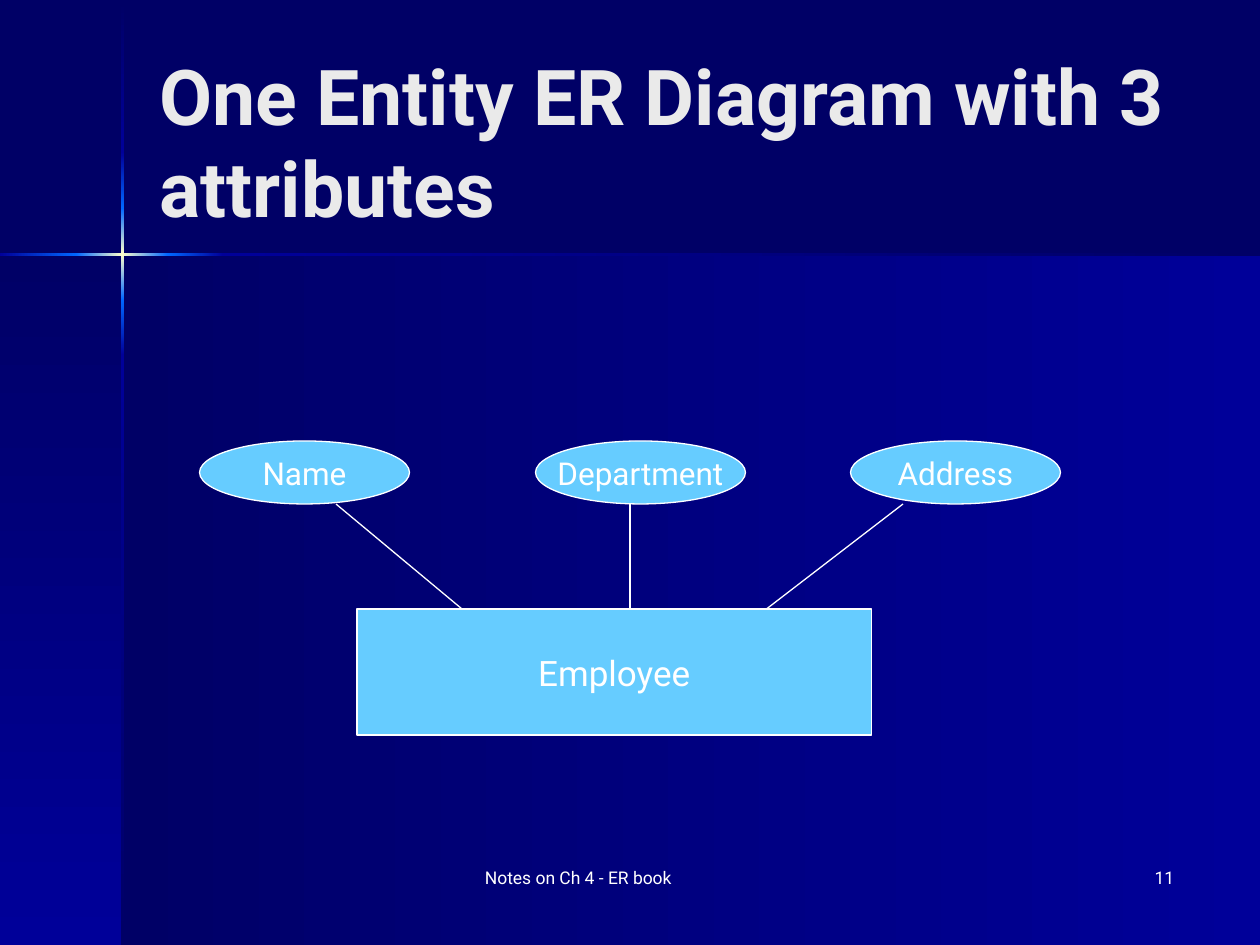
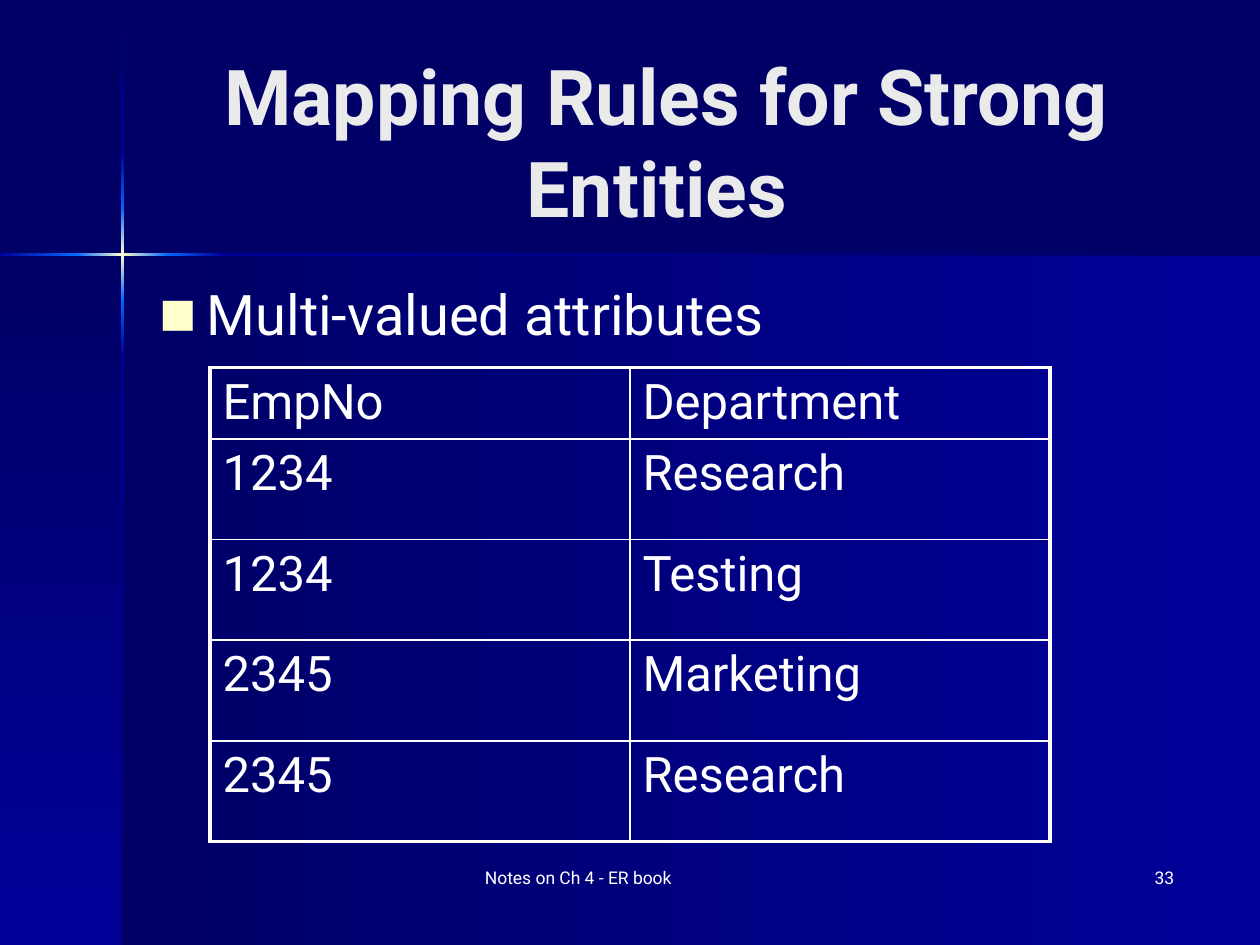
from itertools import pairwise

from lxml import etree
from pptx import Presentation
from pptx.dml.color import RGBColor
from pptx.enum.shapes import MSO_CONNECTOR, MSO_SHAPE
from pptx.enum.text import MSO_ANCHOR, MSO_AUTO_SIZE, PP_ALIGN
from pptx.oxml import parse_xml
from pptx.oxml.ns import nsdecls, qn
from pptx.util import Pt

WIDTH, HEIGHT = 720, 540
FONT = "Roboto"
FOOTER = "Notes on Ch 4 - ER book"
COLORS = {
    "navy": "000066",
    "blue": "000099",
    "bright": "0066FF",
    "cream": "FFFFCC",
    "title": "EAEAEA",
    "text": "FFFFFF",
    "node": "66CCFF",
}

# The two glowing lines cross where the side band meets the title band.
CROSS_X, CROSS_Y = 70, 145.5
GLOW = 1.5
GLOW_RAMPS = [
    ("navy", "blue"),
    ("blue", "bright"),
    ("bright", "cream", "bright"),
    ("bright", "blue"),
    ("blue", "navy"),
]
GLOW_ROWS = [0.75, 87, 119, 171.5, 203, HEIGHT]
GLOW_COLUMNS = [0, 43.5, 96, 127.5, WIDTH]

OUTER_BORDER, INNER_BORDER = 2.25, 1


def rgb(color):
    return RGBColor.from_string(COLORS[color])


class Deck:
    """Holds the presentation, its shared style and the slide being built."""

    def __init__(self):
        self.presentation = Presentation()
        self.presentation.slide_width = Pt(WIDTH)
        self.presentation.slide_height = Pt(HEIGHT)
        background = self.presentation.slide_master.background.fill
        background.solid()
        background.fore_color.rgb = rgb("navy")
        self.slide = None

    def add_slide(self, title, number, align=PP_ALIGN.LEFT):
        layout = self.presentation.slide_layouts.get_by_name("Title Only")
        self.slide = self.presentation.slides.add_slide(layout)
        self.backdrop()
        self.title(title, align)
        self.text(FOOTER, (270, 492, 228, 36), 10)
        self.text(str(number), (528, 492, 150, 36), 10, PP_ALIGN.RIGHT)

    def style(self, paragraph, size, align=PP_ALIGN.LEFT, color="text", bold=False):
        paragraph.alignment = align
        font = paragraph.font
        font.name, font.size, font.bold = FONT, Pt(size), bold
        font.color.rgb = rgb(color)

    def title(self, text, align):
        shape = self.slide.shapes.title
        shape.left, shape.top, shape.width, shape.height = map(Pt, (84, 24, 594, 113))
        frame = shape.text_frame
        frame.text = text
        frame.auto_size = MSO_AUTO_SIZE.NONE
        frame.vertical_anchor = MSO_ANCHOR.MIDDLE
        self.style(frame.paragraphs[0], 44, align, "title", bold=True)

    def gradient_band(self, box, ramp, angle):
        """Add a rectangle whose colours run rightwards (0) or downwards (90)."""
        shape = self.slide.shapes.add_shape(MSO_SHAPE.RECTANGLE, *map(Pt, box))
        shape.shadow.inherit = False
        shape.line.fill.background()
        shape.fill.gradient()
        gradient = shape.fill._xPr.find(qn("a:gradFill"))
        step = 100000 // (len(ramp) - 1)
        stops = "".join(
            f'<a:gs pos="{index * step}"><a:srgbClr val="{COLORS[color]}"/></a:gs>'
            for index, color in enumerate(ramp)
        )
        gradient.getparent().replace(gradient, parse_xml(
            f'<a:gradFill {nsdecls("a")} rotWithShape="1"><a:gsLst>{stops}</a:gsLst>'
            f'<a:lin ang="{angle * 60000}" scaled="0"/></a:gradFill>'
        ))

    def backdrop(self):
        body_height = HEIGHT - CROSS_Y
        ramp = ("navy", "blue")
        self.gradient_band((CROSS_X, CROSS_Y, WIDTH - CROSS_X, body_height), ramp, 0)
        self.gradient_band((0, CROSS_Y, CROSS_X, body_height), ramp, 90)
        for (top, bottom), ramp in zip(pairwise(GLOW_ROWS), GLOW_RAMPS):
            box = (CROSS_X - GLOW / 2, top, GLOW, bottom - top)
            self.gradient_band(box, ramp, 90)
        for (left, right), ramp in zip(pairwise(GLOW_COLUMNS), GLOW_RAMPS[1:]):
            box = (left, CROSS_Y - GLOW / 2, right - left, GLOW)
            self.gradient_band(box, ramp, 0)

    def text(self, text, box, size, align=PP_ALIGN.LEFT):
        frame = self.slide.shapes.add_textbox(*map(Pt, box)).text_frame
        frame.word_wrap = True
        frame.text = text
        paragraph = frame.paragraphs[0]
        self.style(paragraph, size, align)
        return paragraph

    def bullet(self, text, box, size):
        paragraph = self.text(text, box, size)
        paragraph.space_before = Pt(2)
        properties = paragraph._p.get_or_add_pPr()
        indent = Pt(27)
        properties.set("marL", str(indent))
        properties.set("indent", str(-indent))
        marks = [
            f'<a:buClr {nsdecls("a")}><a:srgbClr val="{COLORS["cream"]}"/></a:buClr>',
            f'<a:buSzPct {nsdecls("a")} val="70000"/>',
            f'<a:buFont {nsdecls("a")} typeface="{FONT}"/>',
            f'<a:buChar {nsdecls("a")} char="■"/>',
        ]
        text_defaults = properties.find(qn("a:defRPr"))
        for mark in marks:
            text_defaults.addprevious(parse_xml(mark))

    def node(self, kind, text, box, size):
        shape = self.slide.shapes.add_shape(kind, *map(Pt, box))
        shape.shadow.inherit = False
        shape.fill.solid()
        shape.fill.fore_color.rgb = rgb("node")
        shape.line.color.rgb = rgb("text")
        shape.line.width = Pt(0.75)
        frame = shape.text_frame
        frame.word_wrap = False
        frame.vertical_anchor = MSO_ANCHOR.MIDDLE
        frame.text = text
        self.style(frame.paragraphs[0], size, PP_ALIGN.CENTER)

    def line(self, start, end):
        connector = self.slide.shapes.add_connector(
            MSO_CONNECTOR.STRAIGHT, *map(Pt, (*start, *end))
        )
        connector.line.color.rgb = rgb("text")
        connector.line.width = Pt(0.75)
        etree.SubElement(connector._element.spPr, qn("a:effectLst"))

    def border(self, cell, side, width):
        cell._tc.get_or_add_tcPr().append(parse_xml(
            f'<a:ln{side} {nsdecls("a")} w="{Pt(width)}"><a:solidFill>'
            f'<a:srgbClr val="{COLORS["text"]}"/></a:solidFill></a:ln{side}>'
        ))

    def table(self, records, box, row_heights, size):
        row_count, column_count = len(records), len(records[0])
        table = self.slide.shapes.add_table(
            row_count, column_count, *map(Pt, box)
        ).table
        table.first_row = table.horz_banding = False
        for row, height in zip(table.rows, row_heights):
            row.height = Pt(height)
        for row, record in enumerate(records):
            for column, value in enumerate(record):
                cell = table.cell(row, column)
                cell.text = value
                self.style(cell.text_frame.paragraphs[0], size)
                on_edge = {
                    "L": column == 0,
                    "R": column == column_count - 1,
                    "T": row == 0,
                    "B": row == row_count - 1,
                }
                for side, outer in on_edge.items():
                    self.border(cell, side, OUTER_BORDER if outer else INNER_BORDER)
                cell.fill.background()


def build_entity_slide(deck):
    deck.add_slide("One Entity ER Diagram with 3 attributes", 11)
    entity_top, attribute_top, attribute_height = 348, 252, 36
    deck.node(MSO_SHAPE.RECTANGLE, "Employee", (204, entity_top, 294, 72), 20)
    attributes = [
        ("Name", 114, 192, 264),
        ("Department", 306, 360, 360),
        ("Address", 486, 516, 438),
    ]
    for name, left, line_start, line_end in attributes:
        box = (left, attribute_top, 120, attribute_height)
        deck.node(MSO_SHAPE.OVAL, name, box, 18)
        deck.line((line_start, attribute_top + attribute_height), (line_end, entity_top))


def build_mapping_slide(deck):
    deck.add_slide("Mapping Rules for Strong Entities ", 33, PP_ALIGN.CENTER)
    deck.bullet("Multi-valued attributes", (84, 156, 594, 324), 32)
    records = [
        ("EmpNo", "Department"),
        ("1234", "Research"),
        ("1234", "Testing"),
        ("2345", "Marketing"),
        ("2345", "Research"),
    ]
    deck.table(records, (120, 210, 480, 270), [40] + [57.5] * 4, 28)


def main():
    deck = Deck()
    build_entity_slide(deck)
    build_mapping_slide(deck)
    deck.presentation.save("out.pptx")


if __name__ == "__main__":
    main()
